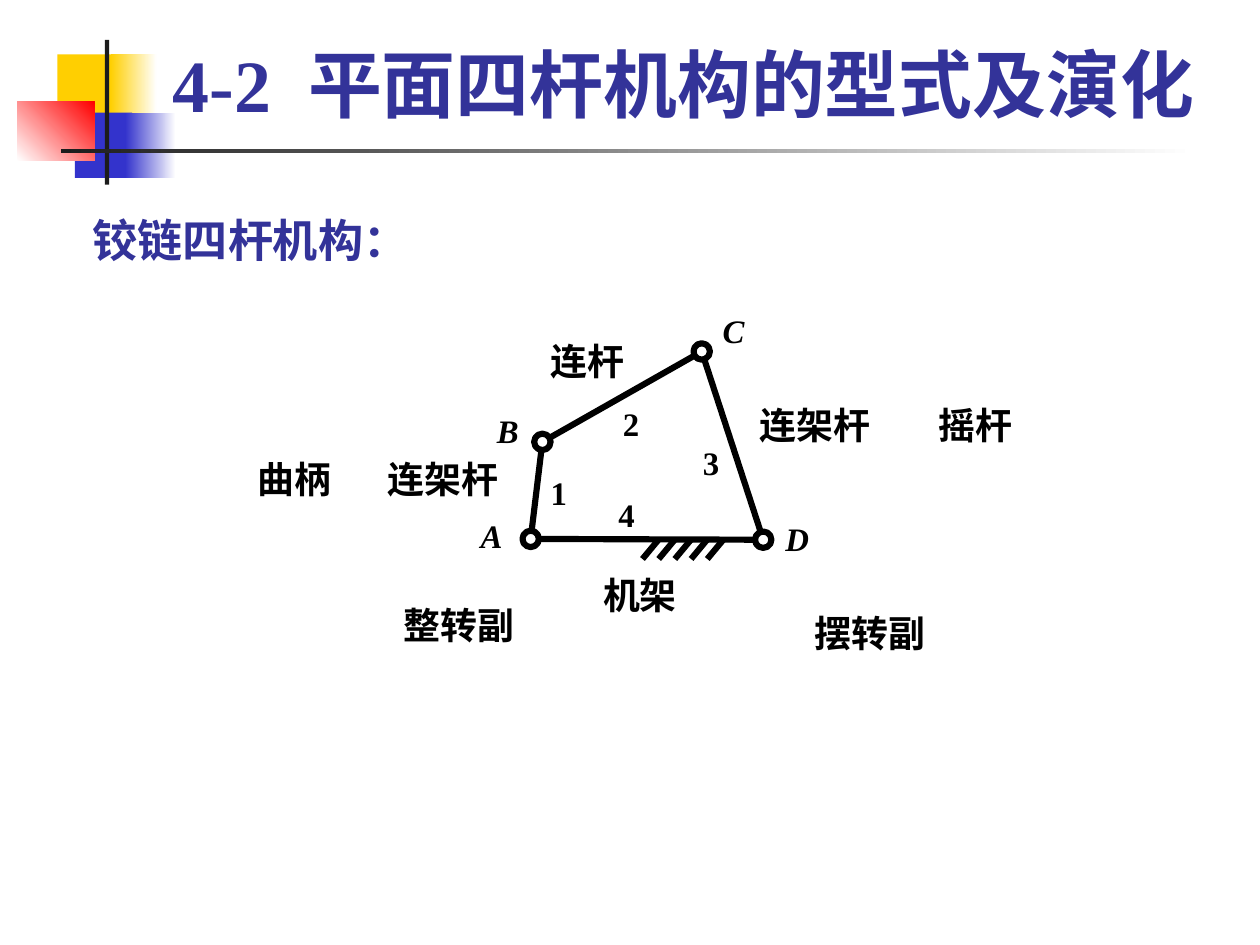
"""Build the slide on types of planar four-bar linkages."""
from math import dist

from lxml.etree import SubElement
from pptx import Presentation
from pptx.dml.color import RGBColor
from pptx.enum.shapes import MSO_CONNECTOR, MSO_SHAPE
from pptx.enum.text import MSO_ANCHOR, MSO_AUTO_SIZE, PP_ALIGN
from pptx.oxml.ns import qn
from pptx.util import Pt

COLORS = {"navy": "333399", "black": "000000", "white": "FFFFFF", "yellow": "FFCF01",
          "blue": "3333CC", "red": "FF0000", "ink": "1C1C1C"}
FONT = "Times New Roman"
TITLE = ("4-2", " ", "平面四杆机构的型式及演化")
TITLE_BOX = (77, 15.8, 523.4, 49.7)
HEADING = "铰链四杆机构："

# left, top, width, height, colours, gradient angle
DECOR = [
    (28, 26.6, 29.6, 31.8, ["yellow"], 0),
    (54, 26.6, 22.4, 31.8, ["yellow", "white"], 0),
    (36.5, 55, 28, 31.8, ["blue"], 0),
    (61.2, 55, 24.6, 31.8, ["blue", "white"], 0),
    (8.4, 49.7, 37.8, 28.6, ["white", "red"], 45),
    (51.2, 19.5, 2.1, 70.6, ["ink"], 0),
    (29.8, 72.7, 553, 2, ["ink", "white"], 0),
]
JOINTS = {"A": (258.8, 262.8), "B": (264.5, 215.5), "C": (342.2, 171.4), "D": (372.2, 263.2)}
LINKS = ["AD", "AB", "BC", "CD"]
JOINT_SIZE, JOINT_GAP = 8, 4.8
HATCH_START, HATCH_STEP, HATCH_RUN, HATCH_COUNT = (321.1, 263.2), 7.9, (-7.8, 9.4), 5

LETTERS = [("A", 239.8, 261), ("B", 247.7, 209.9), ("C", 357.8, 160.9), ("D", 388.8, 262.4)]
NUMBERS = [("1", 272.5, 240.1), ("2", 307.8, 206.3), ("3", 346.7, 225.7), ("4", 305.6, 250.9)]
NAMES = [("机架", 312.1, 289.8), ("连架杆", 216, 233.6), ("连杆", 286.6, 176),
         ("连架杆", 397.4, 207), ("曲柄", 143.6, 233.6), ("摇杆", 475.6, 207),
         ("整转副", 223.9, 304.9), ("摆转副", 424.4, 308.5)]


def rgb(name):
    return RGBColor.from_string(COLORS[name])


def pts(*values):
    return [Pt(round(v, 2)) for v in values]


def style(p, size, color, align, italic=False):
    p.alignment = align
    p.font.name, p.font.size = FONT, Pt(size)
    p.font.bold, p.font.italic = True, italic
    p.font.color.rgb = rgb(color)


def add_text(slide, text, box, size, color="black", align=PP_ALIGN.CENTER, italic=False):
    tf = slide.shapes.add_textbox(*pts(*box)).text_frame
    tf.word_wrap = True
    tf.vertical_anchor = MSO_ANCHOR.MIDDLE
    tf.text = text
    style(tf.paragraphs[0], size, color, align, italic)


def add_labels(slide, labels, width, size, italic=False):
    height = 28
    for text, x, y in labels:
        box = (x - width / 2, y - height / 2, width, height)
        add_text(slide, text, box, size, italic=italic)


def add_line(slide, start, end):
    line = slide.shapes.add_connector(MSO_CONNECTOR.STRAIGHT, *pts(*start, *end))
    line.line.color.rgb = rgb("black")
    line.line.width = Pt(3)
    SubElement(line.element.spPr, qn("a:effectLst"))


def toward(start, end, gap):
    t = gap / dist(start, end)
    return [a + (b - a) * t for a, b in zip(start, end)]


def add_decor(slide):
    for *box, colors, angle in DECOR:
        sp = slide.shapes.add_shape(MSO_SHAPE.RECTANGLE, *pts(*box))
        sp.shadow.inherit = False
        sp.line.fill.background()
        if len(colors) == 1:
            sp.fill.solid()
            sp.fill.fore_color.rgb = rgb(colors[0])
        else:
            sp.fill.gradient()
            sp.fill.gradient_angle = angle
            for stop, color in zip(sp.fill.gradient_stops, colors):
                stop.color.rgb = rgb(color)


def add_title(slide):
    title = slide.shapes.title
    title.left, title.top, title.width, title.height = pts(*TITLE_BOX)
    tf = title.text_frame
    tf.auto_size = MSO_AUTO_SIZE.NONE
    tf.vertical_anchor = MSO_ANCHOR.BOTTOM
    p = tf.paragraphs[0]
    style(p, 36, "navy", PP_ALIGN.LEFT)
    for text in TITLE:
        r = p.add_run()
        r.text = text
        if text == " ":
            r.font.bold = True
            r.font.element.set("spc", "900") if hasattr(r.font, "element") else \
                r._r.get_or_add_rPr().set("spc", "900")


def add_linkage(slide):
    for x, y in JOINTS.values():
        half = JOINT_SIZE / 2
        sp = slide.shapes.add_shape(MSO_SHAPE.OVAL, *pts(x - half, y - half, JOINT_SIZE, JOINT_SIZE))
        sp.shadow.inherit = False
        sp.fill.background()
        sp.line.color.rgb = rgb("black")
        sp.line.width = Pt(3)
    for first, last in LINKS:
        start, end = JOINTS[first], JOINTS[last]
        add_line(slide, toward(start, end, JOINT_GAP), toward(end, start, JOINT_GAP))
    for i in range(HATCH_COUNT):
        x, y = HATCH_START[0] + i * HATCH_STEP, HATCH_START[1]
        add_line(slide, (x, y), (x + HATCH_RUN[0], y + HATCH_RUN[1]))


def main():
    prs = Presentation()
    prs.slide_width, prs.slide_height = pts(614.4, 460.8)
    slide = prs.slides.add_slide(prs.slide_layouts[5])
    add_decor(slide)
    add_title(slide)
    add_text(slide, HEADING, (38.2, 101.5, 522, 31), 22, "navy", PP_ALIGN.LEFT)
    add_linkage(slide)
    add_labels(slide, NUMBERS, 30, 16)
    add_labels(slide, LETTERS, 30, 16, italic=True)
    add_labels(slide, NAMES, 80, 18)
    prs.save("out.pptx")


if __name__ == "__main__":
    main()
